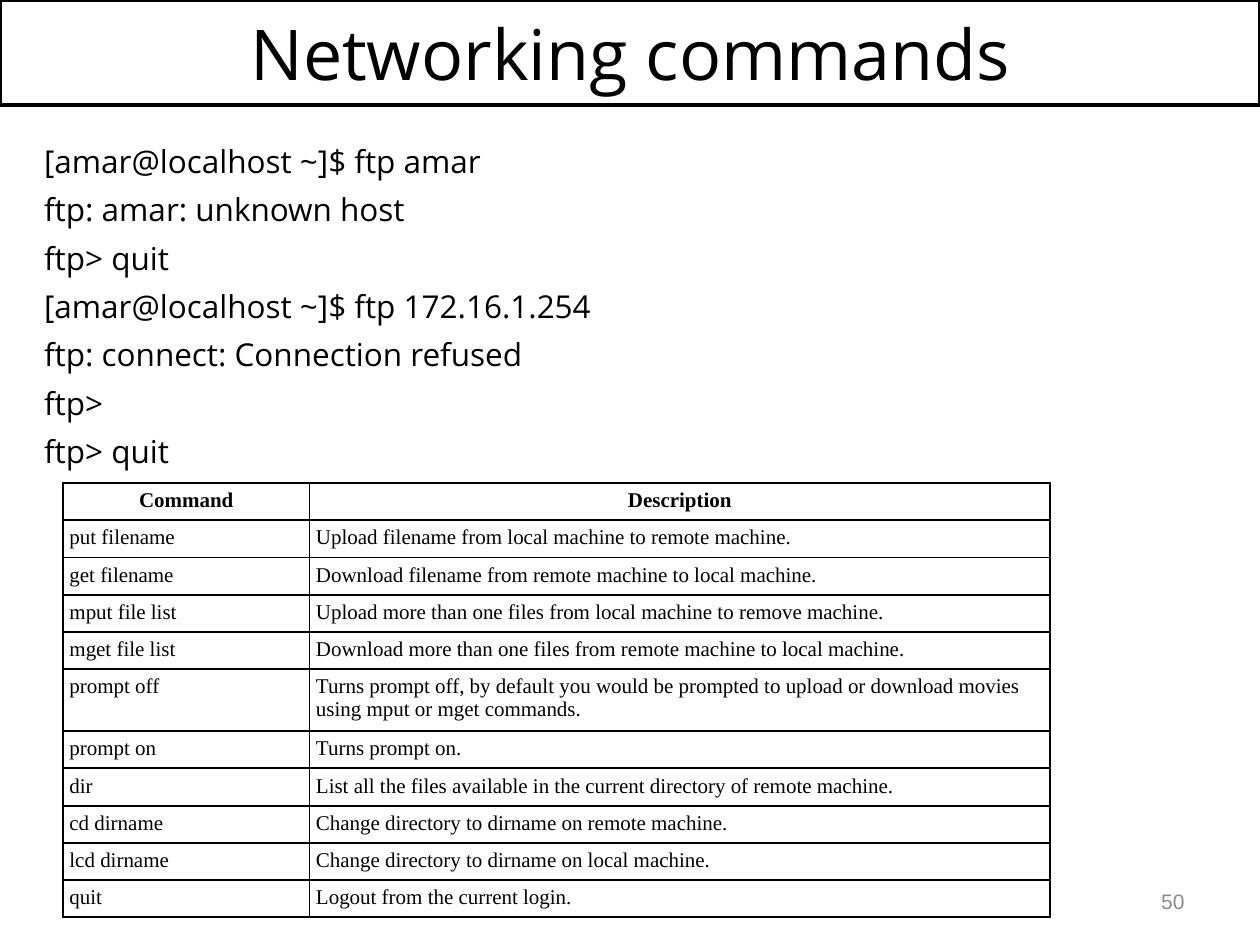
from lxml.etree import SubElement
from pptx import Presentation
from pptx.dml.color import RGBColor
from pptx.enum.shapes import MSO_SHAPE
from pptx.enum.text import MSO_ANCHOR, PP_ALIGN
from pptx.oxml.ns import qn
from pptx.util import Cm, Pt

COLORS = {"ink": "000000", "paper": "FFFFFF", "number": "8B8B8B"}
SESSION = [
    "[amar@localhost ~]$ ftp amar",
    "ftp: amar: unknown host",
    "ftp> quit",
    "[amar@localhost ~]$ ftp 172.16.1.254",
    "ftp: connect: Connection refused",
    "ftp>",
    "ftp> quit",
]
COMMANDS = [
    ("Command", "Description"),
    ("put filename", "Upload filename from local machine to remote machine."),
    ("get filename", "Download filename from remote machine to local machine."),
    ("mput file list", "Upload more than one files from local machine to remove machine."),
    ("mget file list", "Download more than one files from remote machine to local machine."),
    ("prompt off", "Turns prompt off, by default you would be prompted to upload or "
                   "download movies using mput or mget commands."),
    ("prompt on", "Turns prompt on."),
    ("dir", "List all the files available in the current directory of remote machine."),
    ("cd dirname", "Change directory to dirname on remote machine."),
    ("lcd dirname", "Change directory to dirname on local machine."),
    ("quit", "Logout from the current login."),
]
LONG_ROW = 5


def color(name):
    """Return a named colour."""
    return RGBColor.from_string(COLORS[name])


def add_span(para, text, size, font, ink="ink", bold=False):
    """Add one styled run to a paragraph."""
    span = para.add_run()
    span.text = text
    span.font.size = Pt(size)
    span.font.name = font
    span.font.bold = bold
    span.font.color.rgb = color(ink)


def add_title(page, left, top, width, height):
    """Draw the framed title bar."""
    bar = page.shapes.add_shape(MSO_SHAPE.RECTANGLE, Cm(left), Cm(top), Cm(width), Cm(height))
    bar.shadow.inherit = False
    bar.fill.solid()
    bar.fill.fore_color.rgb = color("paper")
    bar.line.color.rgb = color("ink")
    bar.line.width = Pt(2)
    frame = bar.text_frame
    frame.word_wrap = False
    frame.vertical_anchor = MSO_ANCHOR.MIDDLE
    para = frame.paragraphs[0]
    para.alignment = PP_ALIGN.CENTER
    add_span(para, "Networking commands", 40, "Open Sans")


def add_session(page, left, top, width, height):
    """Write the terminal session, one paragraph a line."""
    box = page.shapes.add_textbox(Cm(left), Cm(top), Cm(width), Cm(height))
    frame = box.text_frame
    frame.word_wrap = True
    for index, line in enumerate(SESSION):
        para = frame.add_paragraph() if index else frame.paragraphs[0]
        properties = para._p.get_or_add_pPr()
        properties.set("marL", str(Cm(0.95)))
        properties.set("indent", str(-Cm(0.95)))
        para.space_after = Pt(6)
        add_span(para, line, 18, "Open Sans")


def add_border(cell, side, points):
    """Give one side of a cell a solid line."""
    line = SubElement(cell._tc.get_or_add_tcPr(), qn(f"a:ln{side}"), w=str(Pt(points)))
    fill = SubElement(line, qn("a:solidFill"))
    SubElement(fill, qn("a:srgbClr"), val=COLORS["ink"])


def add_commands(page, left, top, widths, row_height, long_height):
    """Build the table of commands."""
    height = row_height * (len(COMMANDS) - 1) + long_height
    table = page.shapes.add_table(len(COMMANDS), len(widths), Cm(left), Cm(top),
                                  Cm(sum(widths)), Cm(height)).table
    table.first_row = table.horz_banding = False
    for column, width in zip(table.columns, widths):
        column.width = Cm(width)
    for row, texts in enumerate(COMMANDS):
        table.rows[row].height = Cm(long_height if row == LONG_ROW else row_height)
        for column, text in enumerate(texts):
            cell = table.cell(row, column)
            cell.margin_left = cell.margin_right = Cm(0.13)
            cell.margin_top = cell.margin_bottom = Cm(0.12)
            for side, points in zip("LRTB", (0.5 if column else 1.25, 1.25 if column else 0.5,
                                             1.25, 1.25)):
                add_border(cell, side, points)
            cell.fill.background()
            para = cell.text_frame.paragraphs[0]
            para.alignment = PP_ALIGN.LEFT if row else PP_ALIGN.CENTER
            add_span(para, text, 12, "Times New Roman", bold=row == 0)


def add_page_number(page, left, top, width, height):
    """Write the page number at the lower right."""
    box = page.shapes.add_textbox(Cm(left), Cm(top), Cm(width), Cm(height))
    frame = box.text_frame
    frame.word_wrap = True
    frame.vertical_anchor = MSO_ANCHOR.MIDDLE
    para = frame.paragraphs[0]
    para.alignment = PP_ALIGN.RIGHT
    add_span(para, "50", 12, "Arial", "number")


def main():
    """Build and save the deck."""
    deck = Presentation()
    deck.slide_width, deck.slide_height = Cm(25.4), Cm(19.05)
    page = deck.slides.add_slide(deck.slide_layouts[6])
    add_session(page, 0.64, 2.74, 23.29, 8.81)
    add_title(page, 0, 0, 25.4, 2.12)
    add_page_number(page, 18.2, 17.66, 5.93, 1.01)
    add_commands(page, 1.27, 9.74, (4.97, 14.93), 0.73, 1.2)
    deck.save("out.pptx")


if __name__ == "__main__":
    main()
